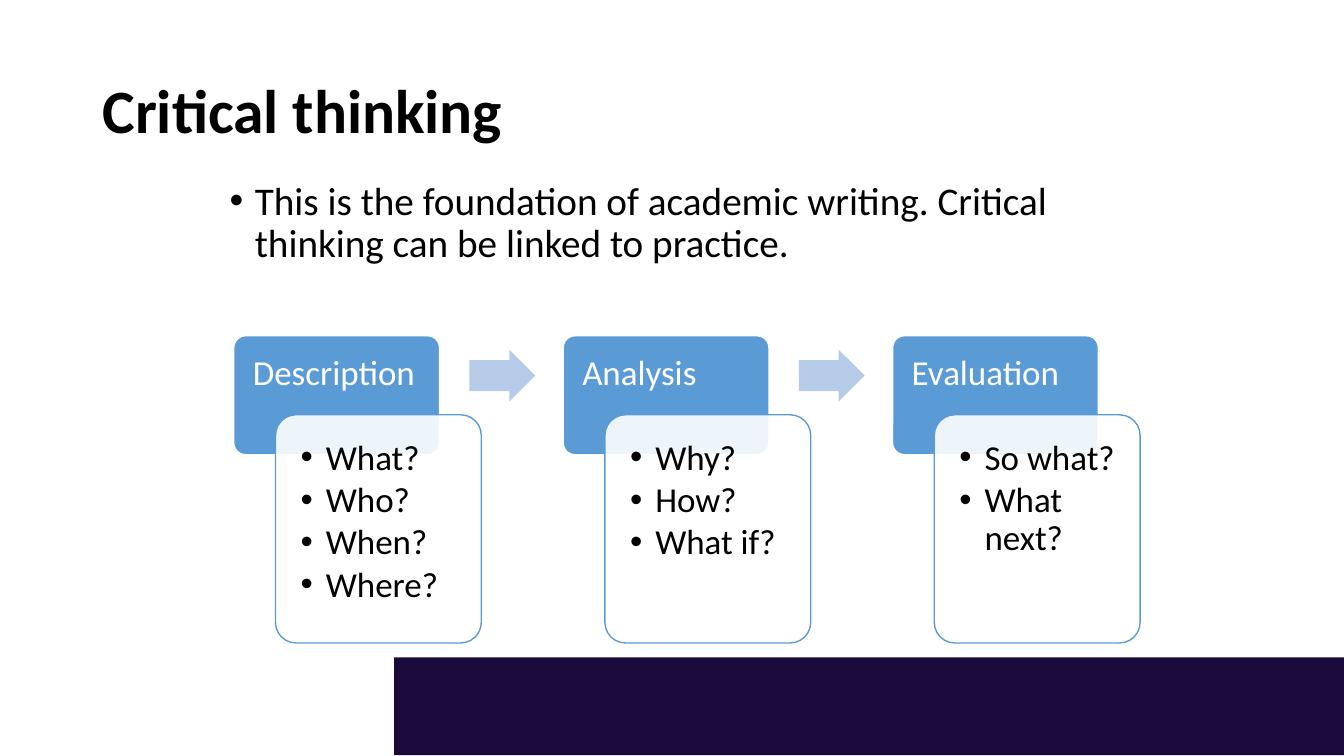
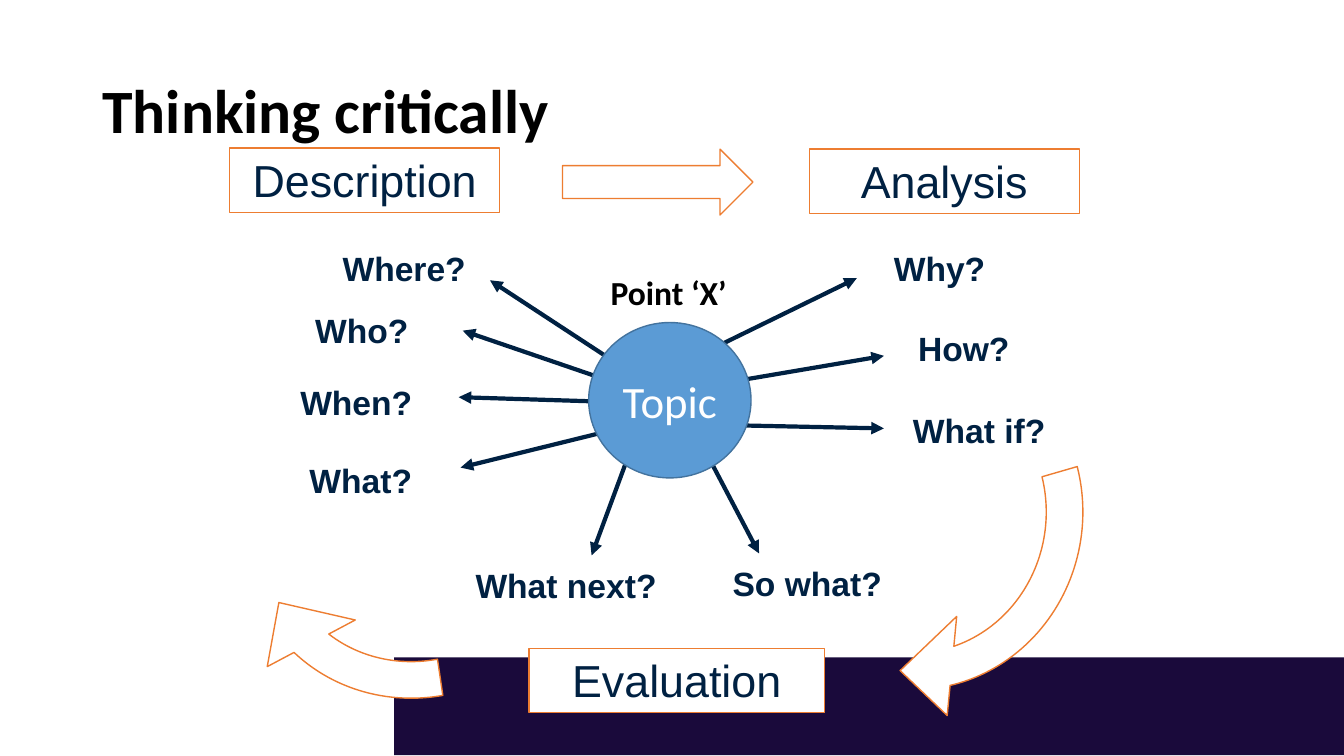
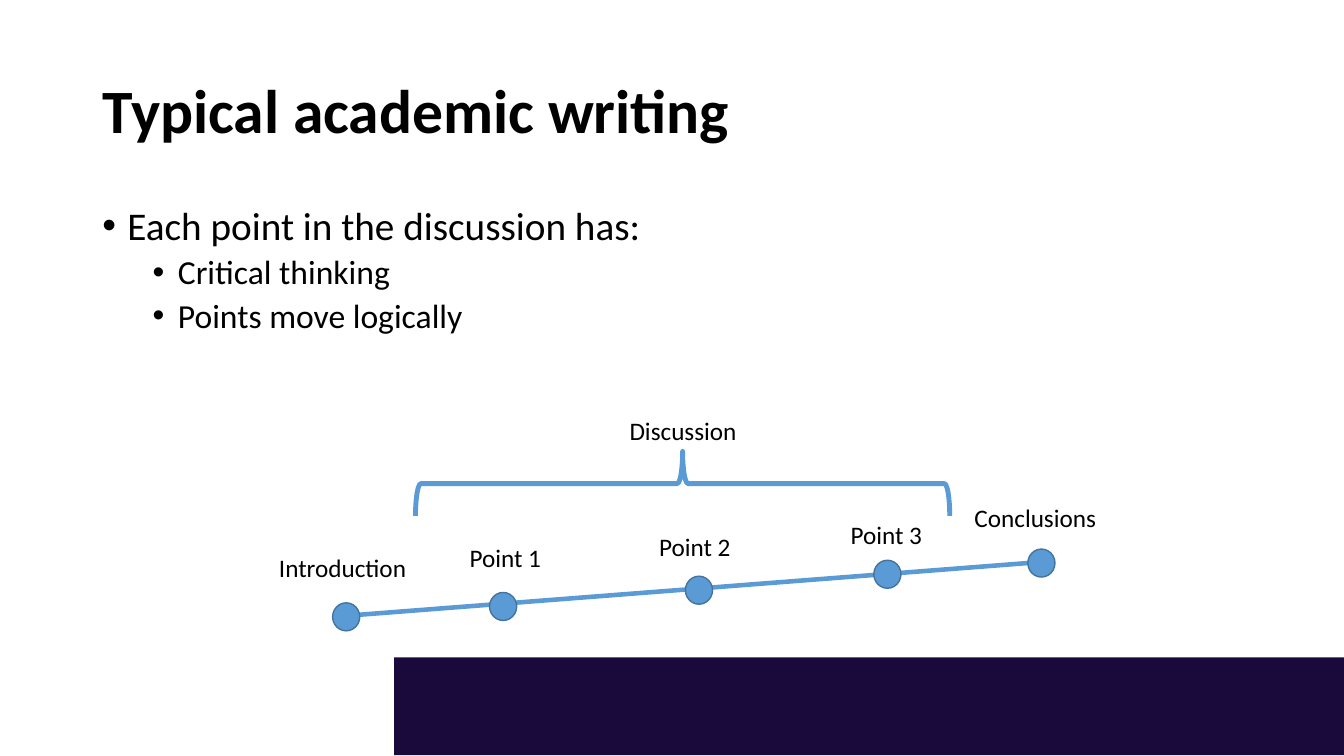
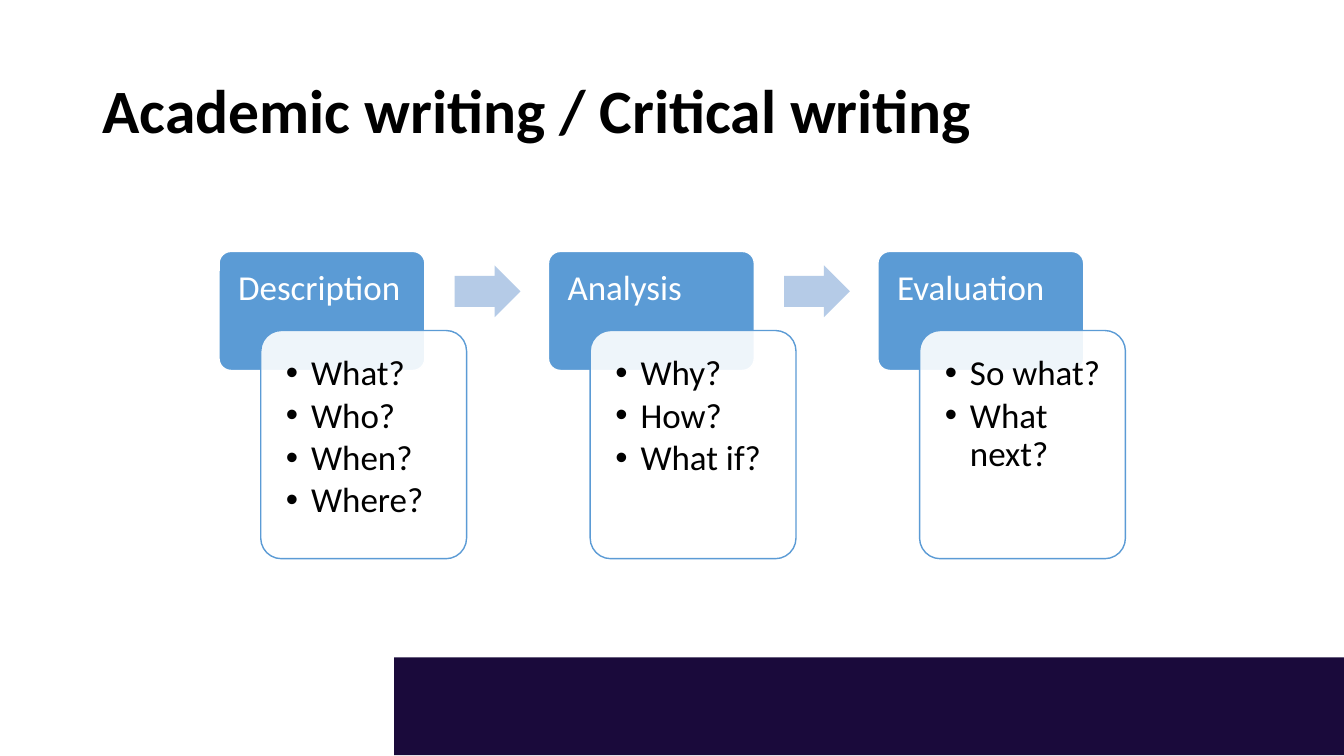
from pptx import Presentation
from pptx.dml.color import RGBColor
from pptx.enum.shapes import MSO_CONNECTOR, MSO_SHAPE as SHAPE
from pptx.enum.text import MSO_ANCHOR as ANCHOR, MSO_AUTO_SIZE, PP_ALIGN as ALIGN
from pptx.oxml.ns import qn
from pptx.oxml.xmlchemy import OxmlElement
from pptx.util import Pt

BLACK, WHITE, NAVY = "000000", "FFFFFF", "002142"
BLUE, DARK_BLUE, PALE_BLUE = "5B9BD5", "43739E", "B5CBE7"
ORANGE, BAND = "ED7D31", "1A0A3B"

# Heading and questions of each stage
STAGES = [
    ("Description", ["What?", "Who?", "When?", "Where?"]),
    ("Analysis", ["Why?", "How?", "What if?"]),
    ("Evaluation", ["So what?", "What next?"]),
]


def color(value):
    return RGBColor.from_string(value)


def element(parent, tag, **attributes):
    child = OxmlElement(tag)
    for name, value in attributes.items():
        child.set(name, str(value))
    parent.append(child)
    return child


class Deck:
    """Holds the style and the current slide."""

    def __init__(self):
        self.deck = Presentation()
        self.deck.slide_width, self.deck.slide_height = Pt(960), Pt(540)
        self.page = None

    def new_page(self, title):
        self.page = self.deck.slides.add_slide(self.deck.slide_layouts[5])
        box = self.page.shapes.title
        box.left, box.top, box.width, box.height = Pt(66), Pt(28.8), Pt(828), Pt(104.4)
        frame = self.frame(box, anchor=ANCHOR.MIDDLE)
        self.set_text(frame.paragraphs[0], title, 44, bold=True, spacing=0.9)
        self.shape(SHAPE.RECTANGLE, 281.5, 469.5, 678.5, 70, BAND)

    # Text
    def frame(self, box, anchor=ANCHOR.TOP, wrap=True, insets=(7.2, 3.6, 7.2, 3.6)):
        frame = box.text_frame
        frame.auto_size = MSO_AUTO_SIZE.NONE
        frame.word_wrap, frame.vertical_anchor = wrap, anchor
        (frame.margin_left, frame.margin_top,
         frame.margin_right, frame.margin_bottom) = map(Pt, insets)
        return frame

    def set_text(self, para, text, size, ink=BLACK, font="Calibri", bold=False,
                 align=ALIGN.LEFT, spacing=1.0, indent=None):
        para.text = text
        para.alignment, para.line_spacing = align, spacing
        if indent is not None:
            properties = para._p.get_or_add_pPr()
            properties.set("marL", str(Pt(indent)))
            properties.set("indent", str(Pt(-18)))
            element(properties, "a:buFont", typeface="Arial")
            element(properties, "a:buChar", char="•")
        para.font.name, para.font.size, para.font.bold = font, Pt(size), bold
        para.font.color.rgb = color(ink)

    def bullets(self, frame, items, before=0, after=0):
        """Each item is text, size and indent."""
        for index, (text, size, indent) in enumerate(items):
            para = frame.add_paragraph() if index else frame.paragraphs[0]
            self.set_text(para, text, size, spacing=0.9, indent=indent)
            para.space_before = Pt(before if index else 0)
            para.space_after = Pt(after)

    def text_box(self, left, top, width, height, **options):
        box = self.page.shapes.add_textbox(Pt(left), Pt(top), Pt(width), Pt(height))
        return self.frame(box, **options)

    def label(self, text, left, top, width, height, size, wrap=False, **style):
        frame = self.text_box(left, top, width, height, wrap=wrap)
        self.set_text(frame.paragraphs[0], text, size, **style)

    # Shapes and lines
    def shape(self, kind, left, top, width, height, fill=None, line=None,
              weight=1, adjust=(), turn=0, opacity=None):
        shape = self.page.shapes.add_shape(kind, Pt(left), Pt(top), Pt(width), Pt(height))
        shape.shadow.inherit = False
        shape.rotation = turn
        for index, value in enumerate(adjust):
            shape.adjustments[index] = value
        if fill:
            shape.fill.solid()
            shape.fill.fore_color.rgb = color(fill)
        else:
            shape.fill.background()
        if opacity:
            paint = shape._element.spPr.find(qn("a:solidFill")).find(qn("a:srgbClr"))
            element(paint, "a:alpha", val=opacity * 1000)
        if line:
            shape.line.color.rgb = color(line)
            shape.line.width = Pt(weight)
        else:
            shape.line.fill.background()
        return shape

    def line(self, start, end, ink, weight, arrow=False):
        line = self.page.shapes.add_connector(
            MSO_CONNECTOR.STRAIGHT, *map(Pt, (*start, *end)))
        line.line.color.rgb = color(ink)
        line.line.width = Pt(weight)
        properties = line._element.spPr
        if arrow:
            element(properties.find(qn("a:ln")), "a:tailEnd", type="triangle")
        element(properties, "a:effectLst")

    # Compound parts
    def stage_box(self, text, left, top, width):
        box = self.shape(SHAPE.RECTANGLE, left, top, width, 46, WHITE, ORANGE)
        self.set_text(self.frame(box).paragraphs[0], text, 32, NAVY, "Arial",
                      align=ALIGN.CENTER)

    def process(self, left, top):
        for index, (heading, questions) in enumerate(STAGES):
            x = left + index * 235.3
            head = self.shape(SHAPE.ROUNDED_RECTANGLE, x, top, 147, 85, BLUE, WHITE,
                              adjust=[0.1])
            frame = self.frame(head, insets=(11.2, 11.2, 11.2, 7))
            self.set_text(frame.paragraphs[0], heading, 25, WHITE, spacing=0.9)
            detail = self.shape(SHAPE.ROUNDED_RECTANGLE, x + 29.8, top + 56.5, 147, 163,
                                WHITE, BLUE, adjust=[0.1], opacity=90)
            self.bullets(self.frame(detail, insets=[13.7] * 4),
                         [(question, 25, 18) for question in questions], after=3.25)
            if index < len(STAGES) - 1:
                self.shape(SHAPE.RIGHT_ARROW, x + 168.3, top + 10, 47, 37, PALE_BLUE,
                           adjust=[0.6, 0.5])


def critical_thinking(deck):
    deck.new_page("Critical thinking")
    frame = deck.text_box(157, 126, 648, 100)
    deck.bullets(frame, [("This is the foundation of academic writing. Critical "
                          "thinking can be linked to practice.", 28, 18)])
    deck.process(167, 239.8)


def thinking_critically(deck):
    deck.new_page("Thinking critically")
    # Questions around the topic
    for text, left, top, width in [
        ("What?", 214, 324.7, 100), ("When?", 207.4, 269.3, 124),
        ("Who?", 218, 218, 92), ("Where?", 237.6, 173.5, 120),
        ("How?", 648.7, 230.4, 112), ("Why?", 631.4, 173.5, 102),
        ("What if?", 645, 289.5, 143), ("So what?", 516.2, 398.2, 136),
        ("What next?", 332.6, 400.3, 156),
    ]:
        deck.label(text, left, top, width, 36, 24, wrap=True, ink=NAVY, font="Arial",
                   bold=True)
    for start, end in [
        ((433.5, 308.2), (329, 334)), ((420.5, 286.6), (327.6, 283.7)),
        ((437.8, 272.9), (330.5, 236.2)), ((450, 265.7), (350, 200.2)),
        ((516.2, 245.5), (612, 198.7)), ((521.3, 272.9), (631.4, 254.2)),
        ((504, 322.6), (542.2, 395.3)), ((524.9, 303.8), (631.4, 306)),
        ((450, 322.6), (422.6, 396.7)),
    ]:
        deck.line(start, end, NAVY, 3, arrow=True)
    topic = deck.shape(SHAPE.OVAL, 420.5, 230.4, 116, 111, BLUE, DARK_BLUE)
    deck.set_text(deck.frame(topic, ANCHOR.MIDDLE).paragraphs[0], "Topic", 32, WHITE,
                  align=ALIGN.CENTER)
    deck.label("Point ‘X’", 429, 190.8, 98, 36, 24, bold=True)
    # Cycle of stages
    for (heading, _), left, top, width in zip(
            STAGES, (164, 578, 378), (105.8, 106.4, 463), (193, 193, 211)):
        deck.stage_box(heading, left, top, width)
    deck.shape(SHAPE.RIGHT_ARROW, 401.8, 106.6, 136, 47, WHITE, ORANGE)
    for left, top, turn, sweep in [(505.4, 224.6, 95.2, 149.192),
                                   (150.5, 235.4, 151.8, 173.9)]:
        deck.shape(SHAPE.CIRCULAR_ARROW, left, top, 296.6, 284.4, WHITE, ORANGE, turn=turn,
                   adjust=[0.092, 11.423, 204.747, sweep, 0.125])


def typical_writing(deck):
    deck.new_page("Typical academic writing")
    frame = deck.text_box(66, 144, 828, 110)
    deck.bullets(frame, [("Each point in the discussion has:", 28, 18),
                         ("Critical thinking", 24, 54),
                         ("Points move logically", 24, 54)], before=5)
    # Rising line of points
    deck.line((237.6, 440.6), (749.5, 401), BLUE, 3.25)
    for left, top in [(237.6, 430.6), (349.7, 423.2), (489.6, 411.6),
                      (624.2, 400.2), (734.2, 392.2)]:
        deck.shape(SHAPE.OVAL, left, top, 19.4, 20, BLUE, DARK_BLUE)
    for text, left, top, width in [
        ("Introduction", 192.2, 390.6, 110), ("Point 1", 328.3, 384, 66),
        ("Point 2", 463.7, 376, 66), ("Point 3", 600.5, 367.4, 66),
        ("Conclusions", 689, 355, 102), ("Discussion", 442.6, 293.2, 92),
    ]:
        deck.label(text, left, top, width, 29, 18)
    deck.shape(SHAPE.LEFT_BRACE, 464.6, 154.6, 46, 381.6, line=BLUE, weight=3.5, turn=90)


def critical_writing(deck):
    deck.new_page("Academic writing / Critical writing")
    deck.process(156.5, 179.6)


def main():
    deck = Deck()
    for build in (critical_thinking, thinking_critically, typical_writing, critical_writing):
        build(deck)
    deck.deck.save("out.pptx")


if __name__ == "__main__":
    main()
